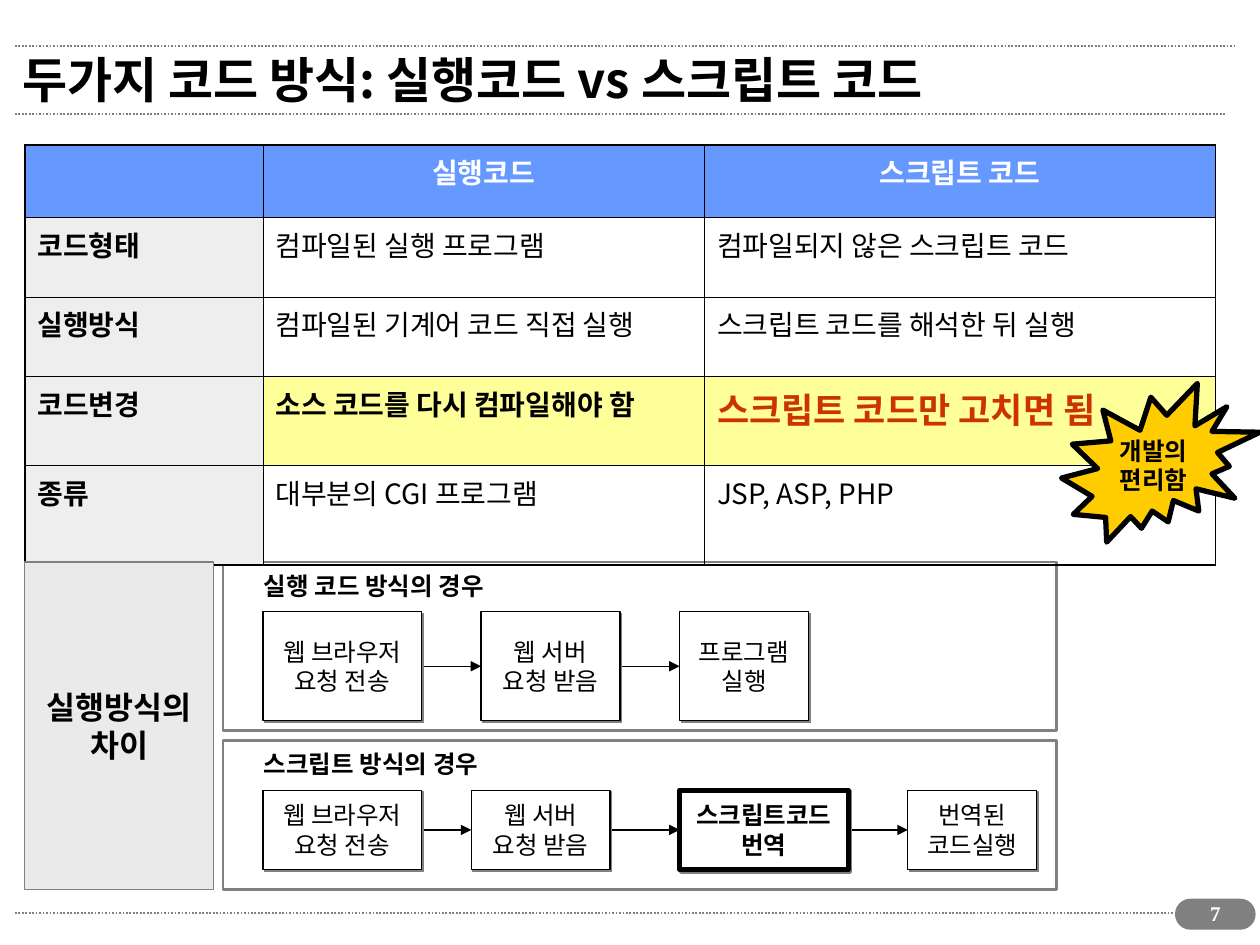
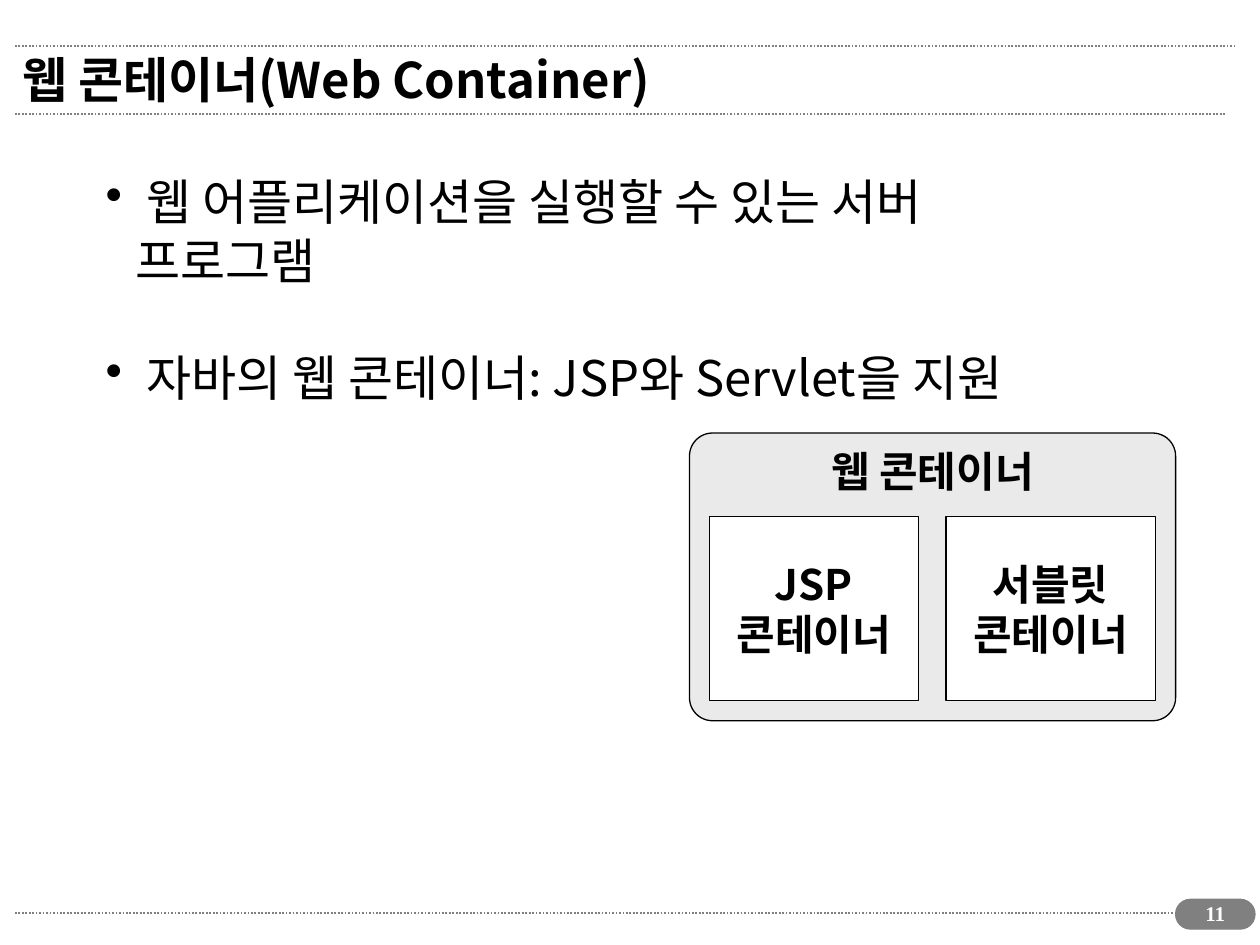
"""Build two slides on executable versus script code and on web containers."""
from dataclasses import dataclass

from lxml import etree
from pptx import Presentation
from pptx import util as u
from pptx.dml.color import RGBColor
from pptx.enum import dml, shapes, text
from pptx.oxml.ns import qn


@dataclass(frozen=True)
class Theme:
    font: str = "Noto Sans CJK KR"
    number_font: str = "Times New Roman"
    black: str = "000000"
    white: str = "FFFFFF"
    gray: str = "808080"
    panel: str = "EAEAEA"
    row_label: str = "EEEEEE"
    header: str = "6699FF"
    highlight: str = "FFFF99"
    alert: str = "CC3300"
    burst: str = "FFCC00"
    title_size: int = 28
    container_size: int = 24
    alert_size: int = 20
    side_size: int = 18
    table_size: int = 16
    flow_size: int = 14
    number_size: int = 12


theme = Theme()
RECTANGLE = shapes.MSO_SHAPE.RECTANGLE
ROUNDED = shapes.MSO_SHAPE.ROUNDED_RECTANGLE
LEFT, CENTER = text.PP_ALIGN.LEFT, text.PP_ALIGN.CENTER
MIDDLE, TOP = text.MSO_ANCHOR.MIDDLE, text.MSO_ANCHOR.TOP


def write(text_frame, content, size, color=theme.black, bold=False, align=LEFT,
          font=theme.font, space_before=0):
    text_frame.text = content
    for paragraph in text_frame.paragraphs:
        paragraph.alignment = align
        paragraph.space_before = u.Pt(space_before)
        for run in paragraph.runs:
            run.font.name = font
            run.font.size = u.Pt(size)
            run.font.bold = bold
            run.font.color.rgb = RGBColor.from_string(color)
            east_asian = etree.SubElement(run._r.get_or_add_rPr(), qn("a:ea"))
            east_asian.set("typeface", font)


def add_box(slide, kind, bounds, fill=None, line=theme.black, width=0.75,
            content="", size=theme.flow_size, bold=True, anchor=MIDDLE):
    shape = slide.shapes.add_shape(kind, *map(u.Cm, bounds))
    shape.shadow.inherit = False
    if fill:
        shape.fill.solid()
        shape.fill.fore_color.rgb = RGBColor.from_string(fill)
    else:
        shape.fill.background()
    shape.line.color.rgb = RGBColor.from_string(line)
    shape.line.width = u.Pt(width)
    shape.text_frame.word_wrap = False
    shape.text_frame.vertical_anchor = anchor
    write(shape.text_frame, content, size, bold=bold, align=CENTER)
    return shape


presentation = Presentation()
presentation.slide_width = u.Cm(25.4)
presentation.slide_height = u.Cm(19.05)

# heading, panel top and height, box top and height, boxes as left, width, text
flows = [
    ("실행 코드 방식의 경우", 11.33, 3.4, 12.33, 2.2, [
        (5.3, 3.2, "웹 브라우저\n요청 전송"),
        (9.7, 2.8, "웹 서버\n요청 받음"),
        (13.7, 2.6, "프로그램\n실행"),
    ]),
    ("스크립트 방식의 경우", 14.93, 3.0, 15.93, 1.6, [
        (5.3, 3.2, "웹 브라우저\n요청 전송"),
        (9.5, 2.8, "웹 서버\n요청 받음"),
        (13.7, 3.4, "스크립트코드\n번역"),
        (18.3, 2.6, "번역된\n코드실행"),
    ]),
]
key_step = "스크립트코드\n번역"
arrows = [
    (left + width, following[0], top + height / 2)
    for _, _, _, top, height, steps in flows
    for (left, width, _), following in zip(steps, steps[1:])
]
rules = [(0.3, 24.7, 18.4), (0.3, 24.7, 2.3), (0.3, 24.9, 0.92)]

slides = []
for title, number, slide_arrows in [
    ("두가지 코드 방식: 실행코드 vs 스크립트 코드", "7", arrows),
    ("웹 콘테이너(Web Container)", "11", []),
]:
    slide = presentation.slides.add_slide(presentation.slide_layouts[6])
    slides.append(slide)

    for start, end, y in rules + slide_arrows:
        connector = slide.shapes.add_connector(
            shapes.MSO_CONNECTOR.STRAIGHT, u.Cm(start), u.Cm(y), u.Cm(end), u.Cm(y))
        is_rule = (start, end, y) in rules
        connector.line.color.rgb = RGBColor.from_string(theme.gray if is_rule else theme.black)
        connector.line.width = u.Pt(1 if is_rule else 0.75)
        if is_rule:
            connector.line.dash_style = dml.MSO_LINE.ROUND_DOT
        else:
            arrowhead = etree.SubElement(connector.line._get_or_add_ln(), qn("a:tailEnd"))
            arrowhead.set("type", "triangle")
        etree.SubElement(connector._element.spPr, qn("a:effectLst"))

    pill = add_box(slide, ROUNDED, (23.7, 18.13, 1.6, 0.6), theme.gray, theme.gray)
    pill.adjustments[0] = 0.5

    title_box = slide.shapes.add_textbox(u.Cm(0.2), u.Cm(0.7), u.Cm(23.1), u.Cm(1.8))
    title_box.text_frame.word_wrap = True
    title_box.text_frame.vertical_anchor = MIDDLE
    write(title_box.text_frame, title, theme.title_size, bold=True)

    number_box = slide.shapes.add_textbox(u.Cm(23.8), u.Cm(18.03), u.Cm(1.4), u.Cm(0.86))
    number_box.text_frame.word_wrap = True
    write(number_box.text_frame, number, theme.number_size, theme.white, True, CENTER,
          theme.number_font)

comparison, container = slides

for _, top, height, _, _, _ in flows:
    add_box(comparison, RECTANGLE, (4.5, top, 16.8, height), line=theme.gray, width=1.5)

rows = [
    ("", "실행코드", "스크립트 코드"),
    ("코드형태", "컴파일된 실행 프로그램", "컴파일되지 않은 스크립트 코드"),
    ("실행방식", "컴파일된 기계어 코드 직접 실행", "스크립트 코드를 해석한 뒤 실행"),
    ("코드변경", "소스 코드를 다시 컴파일해야 함", "스크립트 코드만 고치면 됨"),
    ("종류", "대부분의 CGI 프로그램", "JSP, ASP, PHP"),
]
column_widths = [4.8, 8.9, 10.3]
row_heights = [1.47, 1.6, 1.6, 1.8, 2.0]
change_row = 3
last_row, last_column = len(rows) - 1, len(column_widths) - 1
table = comparison.shapes.add_table(
    len(rows), len(column_widths), u.Cm(0.5), u.Cm(2.92),
    u.Cm(sum(column_widths)), u.Cm(sum(row_heights))).table
table.first_row = table.horz_banding = False
for column, width in zip(table.columns, column_widths):
    column.width = u.Cm(width)
for r, (row, height) in enumerate(zip(rows, row_heights)):
    table.rows[r].height = u.Cm(height)
    for c, content in enumerate(row):
        cell = table.cell(r, c)
        is_header, is_label, is_change = r == 0, c == 0, r == change_row
        is_alert = is_change and c == last_column
        color = theme.white if is_header else theme.alert if is_alert else theme.black
        write(cell.text_frame, content,
              theme.alert_size if is_alert else theme.table_size, color,
              is_header or is_label or is_change, CENTER if is_header else LEFT,
              space_before=5 if is_alert else 4)

        properties = cell._tc.get_or_add_tcPr()
        for side, is_outer in [("L", c == 0), ("R", c == last_column),
                               ("T", r == 0), ("B", r == last_row)]:
            border = etree.SubElement(properties, qn(f"a:ln{side}"))
            border.set("w", str(u.Pt(1.08 if is_outer else 0.45)))
            border_fill = etree.SubElement(border, qn("a:solidFill"))
            etree.SubElement(border_fill, qn("a:srgbClr")).set("val", theme.black)

        fill = (theme.header if is_header else theme.row_label if is_label
                else theme.highlight if is_change else None)
        if fill:
            cell.fill.solid()
            cell.fill.fore_color.rgb = RGBColor.from_string(fill)
        else:
            cell.fill.background()

for heading, panel_top, _, top, height, steps in flows:
    heading_box = comparison.shapes.add_textbox(
        u.Cm(5.07), u.Cm(panel_top + 0.05), u.Cm(8), u.Cm(0.86))
    heading_box.text_frame.word_wrap = True
    write(heading_box.text_frame, heading, theme.flow_size, bold=True)
    for left, width, content in steps:
        is_key = content == key_step
        step = add_box(comparison, RECTANGLE, (left, top, width, height), theme.white,
                       width=3 if is_key else 0.75, content=content, bold=is_key)
        effects = step._element.spPr.find(qn("a:effectLst"))
        shadow = etree.SubElement(effects, qn("a:outerShdw"))
        shadow.set("dist", str(u.Pt(1.4)))
        shadow.set("dir", "2700000")
        etree.SubElement(shadow, qn("a:srgbClr")).set("val", theme.gray)

add_box(comparison, RECTANGLE, (0.5, 11.33, 3.8, 6.6), theme.panel, theme.gray,
        content="실행방식의\n차이", size=theme.side_size)
add_box(comparison, shapes.MSO_SHAPE.EXPLOSION2, (21.4, 7.73, 4, 3.2), theme.burst,
        width=3, content="개발의\n편리함")

bullets = container.shapes.add_textbox(u.Cm(1.88), u.Cm(3.33), u.Cm(20.6), u.Cm(4.9))
bullets.text_frame.word_wrap = True
write(bullets.text_frame,
      " 웹 어플리케이션을 실행할 수 있는 서버 프로그램\n 자바의 웹 콘테이너: JSP와 Servlet을 지원",
      theme.title_size)
bullets.text_frame.paragraphs[1].space_before = u.Pt(33.5)
for paragraph in bullets.text_frame.paragraphs:
    properties = paragraph._p.get_or_add_pPr()
    properties.set("marL", str(u.Cm(0.6)))
    properties.set("indent", str(-u.Cm(0.6)))
    etree.SubElement(properties, qn("a:buChar")).set("char", "•")

frame = add_box(container, ROUNDED, (13.9, 8.73, 9.8, 5.8), theme.panel,
                content="웹 콘테이너", size=theme.container_size, anchor=TOP)
frame.adjustments[0] = 0.08
for i, name in enumerate(["JSP", "서블릿"]):
    add_box(container, RECTANGLE, (14.3 + 4.77 * i, 10.42, 4.22, 3.7), theme.white,
            content=f"{name}\n콘테이너", size=theme.container_size)

presentation.save("out.pptx")
